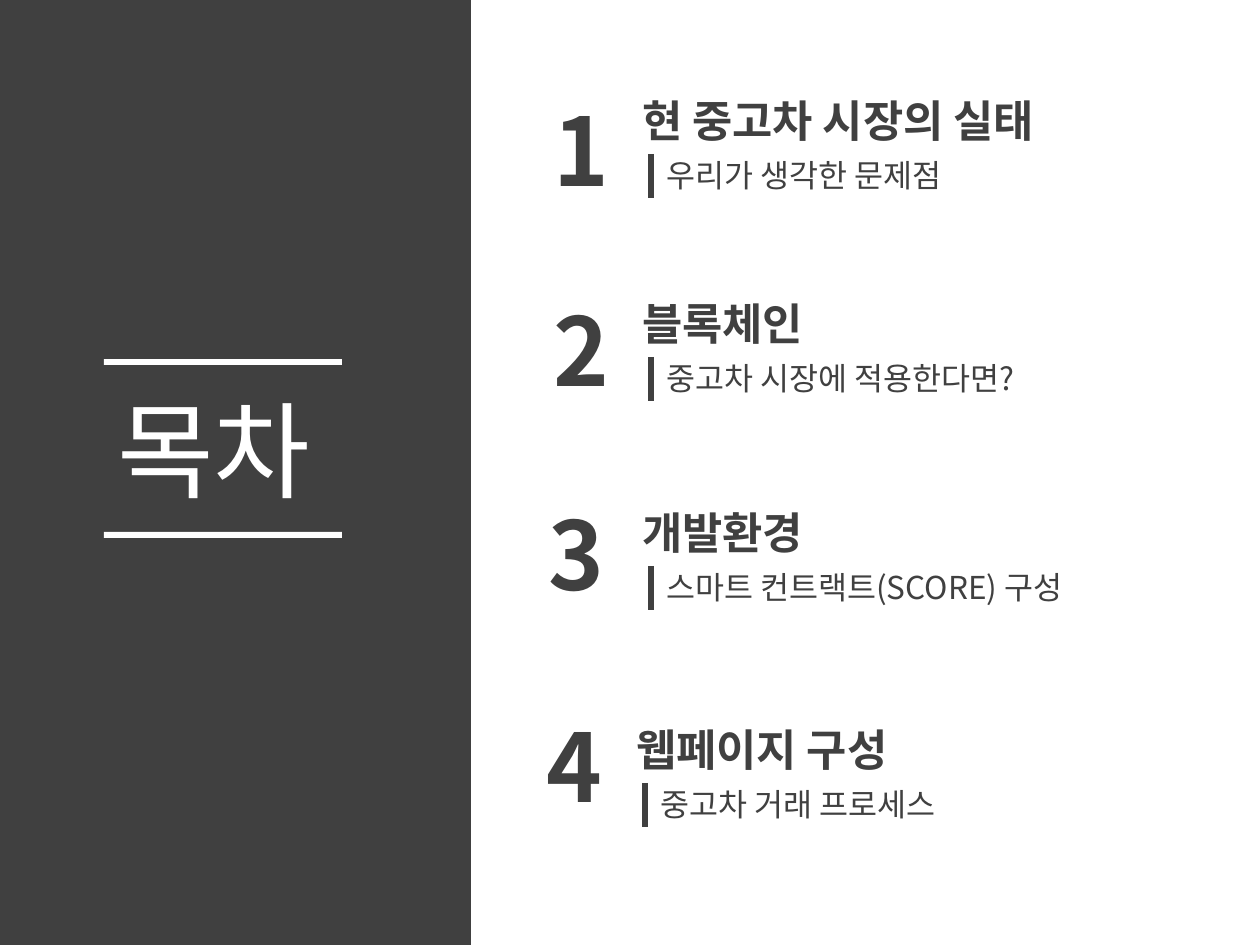
from dataclasses import dataclass

from lxml.etree import SubElement
from pptx import Presentation
from pptx.dml.color import RGBColor
from pptx.enum.shapes import MSO_CONNECTOR as CONN, MSO_SHAPE as SHAPE
from pptx.enum.text import MSO_AUTO_SIZE as AUTO
from pptx.oxml.ns import qn
from pptx.util import Pt

EMU_PER_PX = 914400 / 126


def px(n):
    return round(n * EMU_PER_PX)


@dataclass(frozen=True)
class Theme:
    dark: RGBColor = RGBColor(0x40, 0x40, 0x40)
    white: RGBColor = RGBColor(0xFF, 0xFF, 0xFF)
    title_font: str = "Arial"
    body_font: str = "Noto Sans CJK KR"
    title: int = 60
    number: int = 54
    heading: int = 25
    detail: int = 18
    rule: int = 3


class Deck:
    def __init__(self, slide, theme):
        self.s = slide
        self.theme = theme

    def rect(self, x, y, w, h, color):
        sp = self.s.shapes.add_shape(SHAPE.RECTANGLE, px(x), px(y), px(w), px(h))
        sp.shadow.inherit = False
        sp.fill.solid()
        sp.fill.fore_color.rgb = color
        sp.line.fill.background()

    def text(self, x, y, w, h, text, size, color, font, bold=False):
        tf = self.s.shapes.add_textbox(px(x), px(y), px(w), px(h)).text_frame
        tf.word_wrap = True
        tf.auto_size = AUTO.SHAPE_TO_FIT_TEXT
        tf.text = text
        r = tf.paragraphs[0].runs[0]
        r.font.size = Pt(size)
        r.font.bold = bold
        r.font.color.rgb = color
        r.font.name = font
        SubElement(r._r.get_or_add_rPr(), qn("a:ea"), typeface=font)

    def vline(self, x, y, h):
        ln = self.s.shapes.add_connector(CONN.STRAIGHT, px(x), px(y), px(x), px(y + h))
        ln.line.color.rgb = self.theme.dark
        ln.line.width = Pt(self.theme.rule)
        SubElement(ln._element.spPr, qn("a:effectLst"))

    def number(self, x, y, text):
        t = self.theme
        self.text(x, y, 110, 127, text, t.number, t.dark, t.body_font, True)

    def entry(self, x, y, w, heading, detail):
        t = self.theme
        self.text(x, y, w, 66, heading, t.heading, t.dark, t.body_font, True)
        self.vline(x + 21, y + 66, 44)
        self.text(x + 24, y + 62, 496, 50, detail, t.detail, t.dark, t.body_font)


def main():
    prs = Presentation()
    prs.slide_width, prs.slide_height = px(1260), px(945)
    theme = Theme()
    deck = Deck(prs.slides.add_slide(prs.slide_layouts[6]), theme)

    deck.rect(0, 0, 471, 945, theme.dark)
    deck.text(105, 379, 238, 140, "목차", theme.title, theme.white, theme.title_font)
    for y in (359, 532):
        deck.rect(104, y, 238, 6, theme.white)

    contents = [
        ((541, 86), (630, 88, 630), "현 중고차 시장의 실태", "우리가 생각한 문제점"),
        ((541, 286), (630, 291, 630), "블록체인", "중고차 시장에 적용한다면?"),
        ((536, 490), (630, 500, 348), "개발환경", "스마트 컨트랙트(SCORE) 구성"),
        ((534, 702), (624, 717, 520), "웹페이지 구성", "중고차 거래 프로세스"),
    ]
    for i, (number_at, entry_at, heading, detail) in enumerate(contents, 1):
        deck.number(*number_at, str(i))
        deck.entry(*entry_at, heading, detail)

    prs.save("out.pptx")


if __name__ == "__main__":
    main()
